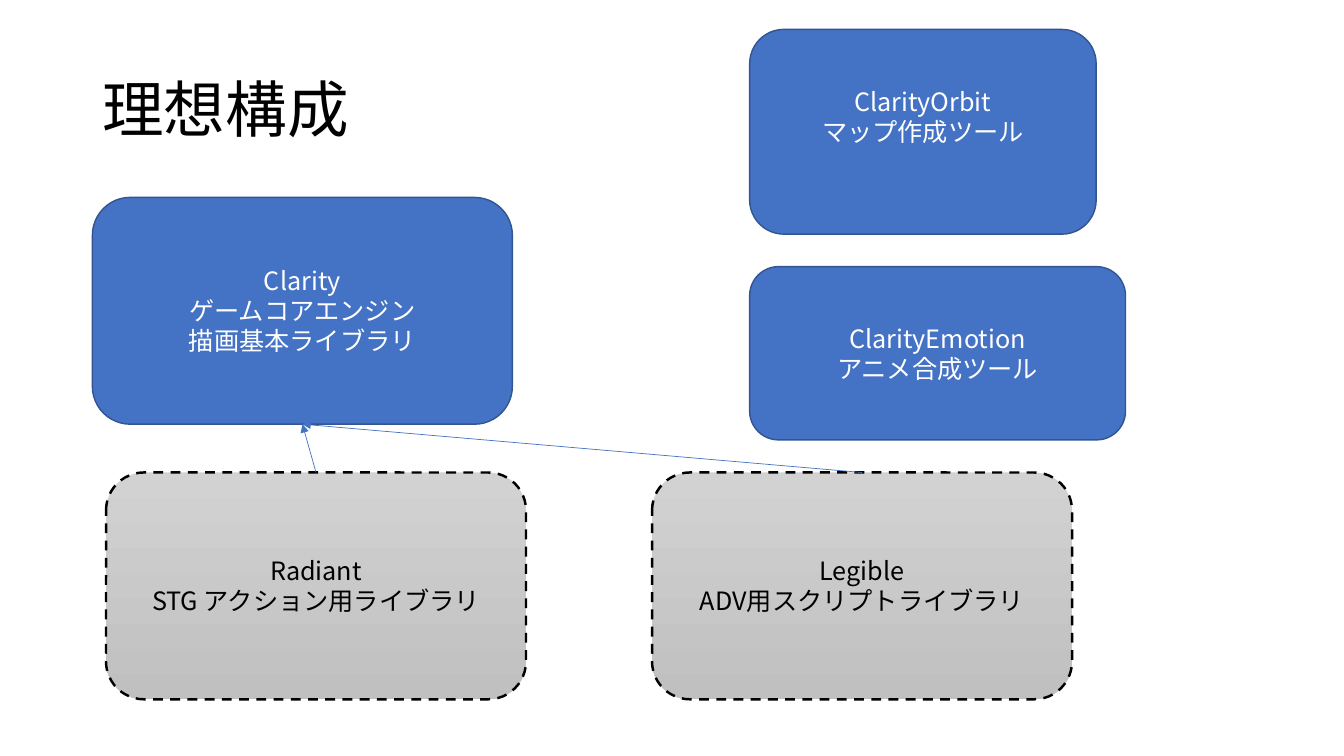
from dataclasses import dataclass

from lxml import etree
from pptx import Presentation
from pptx import util as u
from pptx.dml.color import RGBColor
from pptx.enum import dml, lang, shapes, text
from pptx.oxml.ns import qn
from pptx.shapes.autoshape import Shape
from pptx.slide import Slide
from pptx.text.text import TextFrame

PX = 9525  # EMU in one px: 96 px to the inch
FONT = "Noto Sans CJK JP"
INSET = 5
LINE_HEIGHT = 29


@dataclass(frozen=True)
class Style:
    fills: tuple[str, ...]  # one colour is solid, two are a gradient from top to bottom
    line: str
    line_width: float
    font: str
    dashed: bool = False


@dataclass(frozen=True)
class Box:
    left: int
    top: int
    width: int
    height: int
    lines: tuple[str, ...]
    style: Style
    lift: int = 0  # extra bottom inset that raises the text


TOOL = Style(("4472C4",), "325491", 1, "FFFFFF")
LIBRARY = Style(("D2D2D2", "C0C0C0"), "000000", 1.75, "000000", dashed=True)

CLARITY = Box(88, 188, 400, 216, ("Clarity", "ゲームコアエンジン", "描画基本ライブラリ"), TOOL)
TOOLS = (
    Box(714, 28, 330, 195, ("ClarityOrbit", "マップ作成ツール"), TOOL, LINE_HEIGHT),
    Box(714, 254, 358, 165, ("ClarityEmotion", "アニメ合成ツール"), TOOL),
)
LIBRARIES = (
    Box(101, 450, 400, 216, ("Radiant", "STG アクション用ライブラリ"), LIBRARY),
    Box(621, 450, 400, 216, ("Legible", "ADV用スクリプトライブラリ"), LIBRARY),
)


def px(length: int) -> u.Emu:
    return u.Emu(length * PX)


def color(value: str) -> RGBColor:
    return RGBColor.from_string(value)


def write(frame: TextFrame, lines: tuple[str, ...], size: int, font_color: str,
          alignment: text.PP_ALIGN, spacing: float = 1.0) -> None:
    frame.word_wrap = True
    frame.vertical_anchor = text.MSO_ANCHOR.MIDDLE
    for index, line in enumerate(lines):
        paragraph = frame.add_paragraph() if index else frame.paragraphs[0]
        paragraph.alignment = alignment
        paragraph.line_spacing = spacing
        run = paragraph.add_run()
        run.text = line
        run.font.size = u.Pt(size)
        run.font.name = FONT
        run.font.language_id = lang.MSO_LANGUAGE_ID.JAPANESE
        run.font.color.rgb = color(font_color)
        # Japanese glyphs take their typeface from a:ea
        etree.SubElement(run.font._element, qn("a:ea"), typeface=FONT)


def add_box(slide: Slide, box: Box) -> Shape:
    shape = slide.shapes.add_shape(shapes.MSO_SHAPE.ROUNDED_RECTANGLE, px(box.left),
                                   px(box.top), px(box.width), px(box.height))
    style = box.style
    shape.shadow.inherit = False
    if len(style.fills) == 1:
        shape.fill.solid()
        shape.fill.fore_color.rgb = color(style.fills[0])
    else:
        shape.fill.gradient()
        shape.fill.gradient_angle = 270
        for stop, value in zip(shape.fill.gradient_stops, style.fills):
            stop.color.rgb = color(value)
    shape.line.color.rgb = color(style.line)
    shape.line.width = u.Pt(style.line_width)
    if style.dashed:
        shape.line.dash_style = dml.MSO_LINE.DASH
    shape.text_frame.margin_bottom = px(INSET + box.lift)
    write(shape.text_frame, box.lines, 18, style.font, text.PP_ALIGN.CENTER)
    return shape


def add_arrow(slide: Slide, source: Shape, target: Shape) -> None:
    """Draw an arrow from the top of source to the bottom of target."""
    connector = slide.shapes.add_connector(shapes.MSO_CONNECTOR.STRAIGHT, 0, 0, 0, 0)
    connector.begin_connect(source, 0)
    connector.end_connect(target, 2)
    connector.line.color.rgb = color("4472C4")
    connector.line.width = u.Pt(0.5)
    etree.SubElement(connector.line._get_or_add_ln(), qn("a:tailEnd"), type="triangle")
    etree.SubElement(connector._element.spPr, qn("a:effectLst"))


def main() -> None:
    presentation = Presentation()
    presentation.slide_width, presentation.slide_height = px(1280), px(720)
    slide = presentation.slides.add_slide(presentation.slide_layouts[6])

    # Title
    title = slide.shapes.add_textbox(px(88), px(38), px(1104), px(139))
    write(title.text_frame, ("理想構成",), 44, "000000", text.PP_ALIGN.LEFT, 0.9)

    # Core engine and tools
    engine = add_box(slide, CLARITY)
    for tool in TOOLS:
        add_box(slide, tool)

    # Libraries built on the engine
    for library in LIBRARIES:
        add_arrow(slide, add_box(slide, library), engine)

    presentation.save("out.pptx")


if __name__ == "__main__":
    main()
